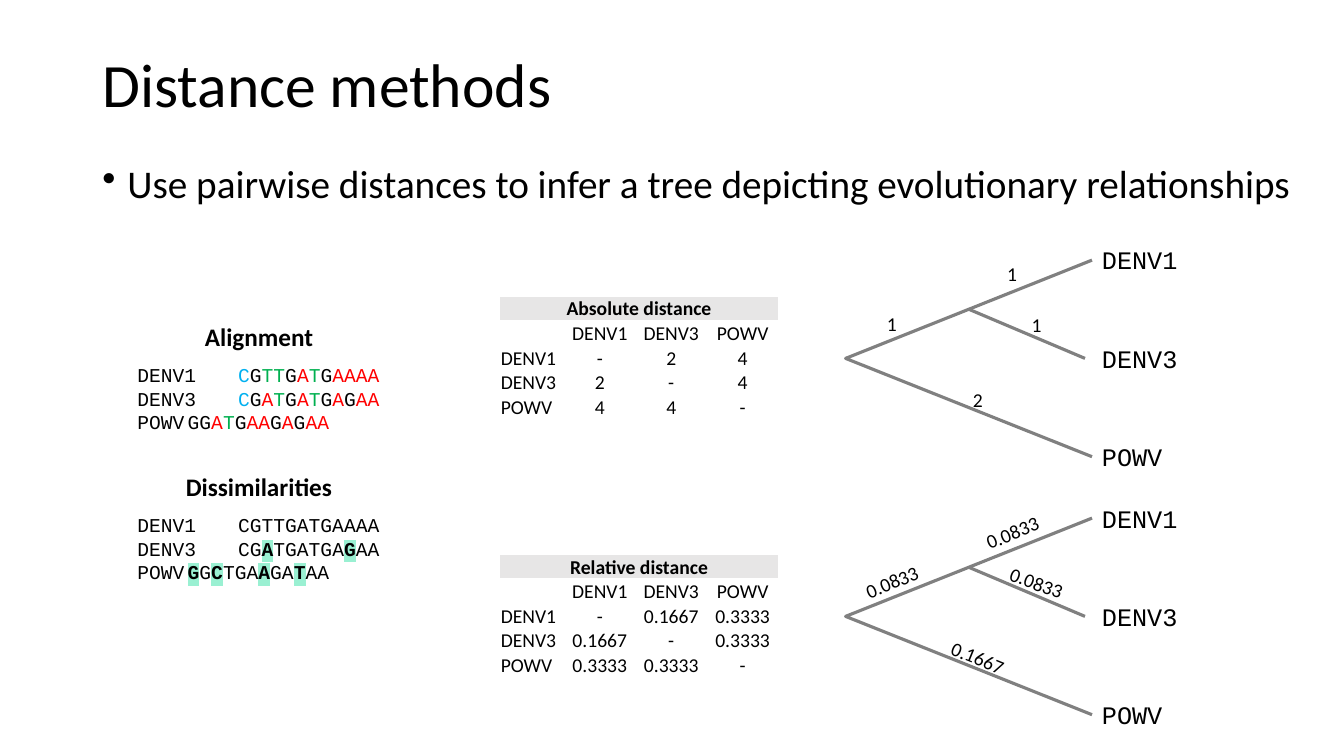
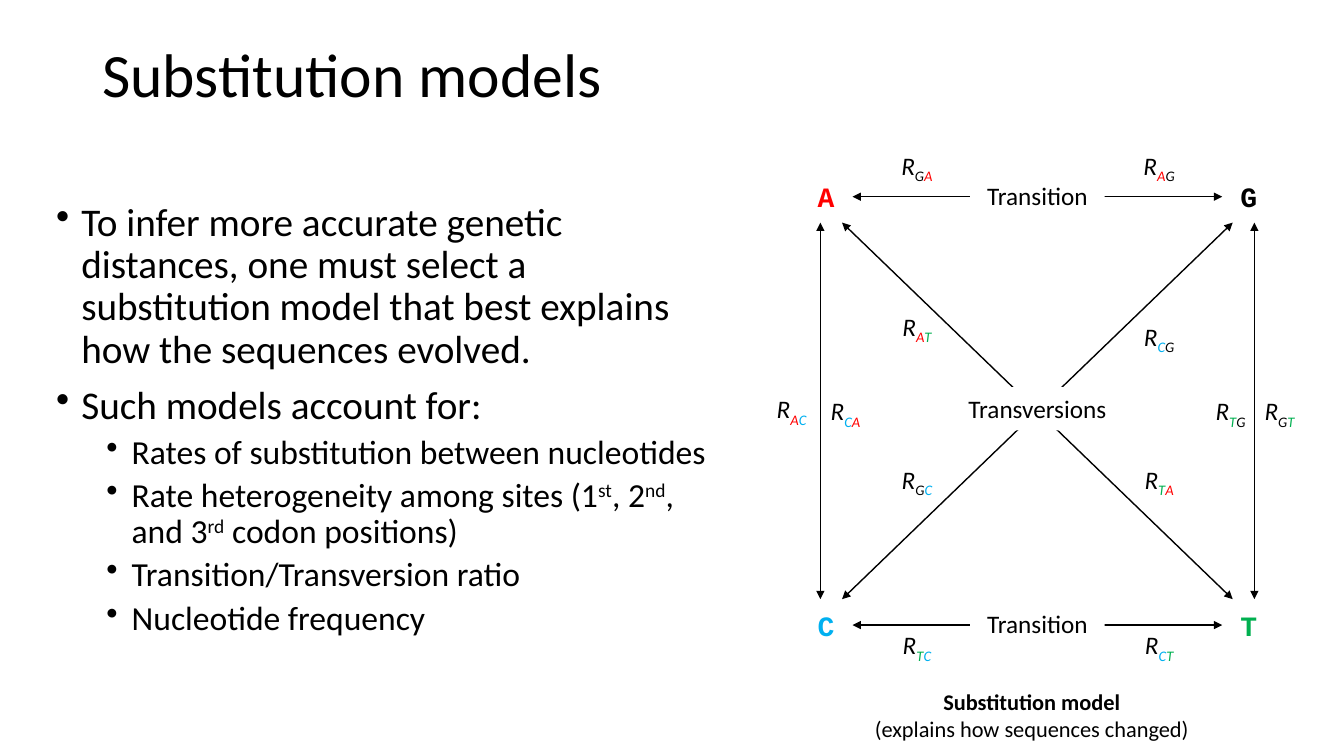
"""Build two slides on distance methods and substitution models."""
from itertools import groupby

from lxml.etree import SubElement
from pptx import Presentation
from pptx.dml.color import RGBColor
from pptx.enum.shapes import MSO_CONNECTOR
from pptx.enum.text import MSO_ANCHOR, PP_ALIGN
from pptx.oxml.ns import qn
from pptx.util import Pt

BLACK, WHITE, BRANCH, HEADER, CHANGED = "000000", "FFFFFF", "808080", "E7E6E6", "9AF0D2"
BASE_COLORS = {"A": "FF0000", "C": "00B0F0", "G": BLACK, "T": "00B050"}
SANS, MONO = "Calibri", "Courier New"
TAXA = ["DENV1", "DENV3", "POWV"]
CENTER, MIDDLE = PP_ALIGN.CENTER, MSO_ANCHOR.MIDDLE
LABEL = {"size": 18, "name": SANS}
SMALL = {"size": 14, "name": SANS}
SEQUENCE = {"size": 14, "name": MONO}


def rgb(value):
    """Turn a hex string into a colour."""
    return RGBColor.from_string(value)


def add_run(paragraph, words, color=BLACK, baseline=0, highlight=None, size=18, **look):
    """Add one run with its format."""
    run = paragraph.add_run()
    run.text = words
    run.font.size = Pt(size)
    run.font.color.rgb = rgb(color)
    properties = run._r.get_or_add_rPr()
    if baseline:
        properties.set("baseline", str(baseline * 1000))
    if highlight:
        SubElement(SubElement(properties, qn("a:highlight")), qn("a:srgbClr"), val=highlight)
    for attribute, value in look.items():
        setattr(run.font, attribute, value)


def fill_paragraph(paragraph, runs, align=None, **look):
    """Write a list of (words, format) runs into a paragraph."""
    paragraph.alignment = align
    for words, change in runs:
        add_run(paragraph, words, **{**look, **change})


def add_frame(slide, box, anchor=MSO_ANCHOR.TOP, wrap=True, inset=(7.2, 3.6), fill=None, rotation=0):
    """Add a text box and return its text frame."""
    area = slide.shapes.add_textbox(*map(Pt, box))
    area.rotation = rotation
    if fill:
        area.fill.solid()
        area.fill.fore_color.rgb = rgb(fill)
    frame = area.text_frame
    side, edge = map(Pt, inset)
    settings = {"word_wrap": wrap, "vertical_anchor": anchor, "margin_left": side,
                "margin_right": side, "margin_top": edge, "margin_bottom": edge}
    for attribute, value in settings.items():
        setattr(frame, attribute, value)
    return frame


def add_lines(slide, box, lines, look, align=None, **frame_options):
    """Add a text box with one paragraph for each list of runs."""
    frame = add_frame(slide, box, **frame_options)
    for index, runs in enumerate(lines):
        paragraph = frame.add_paragraph() if index else frame.paragraphs[0]
        fill_paragraph(paragraph, runs, align, **look)


def add_centered(slide, middle, size, runs, look, **frame_options):
    """Add one centred line of text around a point."""
    (x, y), (width, height) = middle, size
    add_lines(slide, (x - width / 2, y - height / 2, width, height), [runs], look,
              CENTER, anchor=MIDDLE, **frame_options)


def add_title(slide, words, top):
    """Add the slide title."""
    frame = add_frame(slide, (66, top, 828, 60))
    frame.paragraphs[0].line_spacing = 0.9
    fill_paragraph(frame.paragraphs[0], [(words, {})], size=44, name=SANS)


def add_bullets(slide, box, points):
    """Add a bulleted list of (level, runs) points."""
    frame = add_frame(slide, box)
    for index, (level, runs) in enumerate(points):
        paragraph = frame.add_paragraph() if index else frame.paragraphs[0]
        properties = paragraph._p.get_or_add_pPr()
        properties.set("marL", str(Pt(18 + 36 * level)))
        properties.set("indent", str(Pt(-18)))
        SubElement(properties, qn("a:buChar"), char="•")
        paragraph.level = level
        paragraph.line_spacing = 0.9
        if index:
            paragraph.space_before = Pt(5 if level else 10)
        fill_paragraph(paragraph, runs, size=24 if level else 28, name=SANS)


def add_line(slide, start, end, color, width, arrows=False):
    """Add a straight line, with arrowheads at both ends if asked."""
    link = slide.shapes.add_connector(MSO_CONNECTOR.STRAIGHT, *map(Pt, start + end))
    link.line.color.rgb = rgb(color)
    link.line.width = Pt(width)
    if arrows:
        for end_tag in ("a:headEnd", "a:tailEnd"):
            SubElement(link.line._get_or_add_ln(), qn(end_tag), type="triangle")
    SubElement(link._element.spPr, qn("a:effectLst"))


def add_distances(slide, top, heading, values):
    """Add a table of pairwise distances."""
    rows = [[heading, "", "", ""], ["", *TAXA]]
    rows += [[taxon, *distances] for taxon, distances in zip(TAXA, values)]
    widths = [46, 51, 51, 51]
    matrix = slide.shapes.add_table(5, 4, Pt(357), Pt(top), Pt(sum(widths)), Pt(88)).table
    matrix.first_row = matrix.horz_banding = False
    for column, width in zip(matrix.columns, widths):
        column.width = Pt(width)
    margins = {"margin_left": Pt(0.72), "margin_right": Pt(0.72), "margin_top": Pt(0.72),
               "margin_bottom": 0, "vertical_anchor": MSO_ANCHOR.BOTTOM}
    for r, row in enumerate(rows):
        for c, words in enumerate(row):
            cell = matrix.cell(r, c)
            for attribute, value in margins.items():
                setattr(cell, attribute, value)
            if r == 0:
                cell.fill.solid()
                cell.fill.fore_color.rgb = rgb(HEADER)
            else:
                cell.fill.background()
            align = PP_ALIGN.LEFT if r and c == 0 else CENTER
            paragraph = cell.text_frame.paragraphs[0]
            paragraph.font.size = Pt(14)
            if words:
                fill_paragraph(paragraph, [(words, {})], align, bold=r == 0, **SMALL)
    matrix.cell(0, 0).merge(matrix.cell(0, 3))


def add_tree(slide, top, lengths, angles):
    """Add a tree of the three taxa with its branch lengths."""
    root, fork, tip, step = 604, 692, 780, 70.2
    outline = slide.shapes.build_freeform(Pt(tip), Pt(top))
    outline.add_line_segments([(Pt(root), Pt(top + step)), (Pt(tip), Pt(top + 2 * step))], close=False)
    branches = outline.convert_to_shape()
    branches.shadow.inherit = False
    branches.fill.background()
    branches.line.color.rgb = rgb(BRANCH)
    branches.line.width = Pt(2.25)
    add_line(slide, (fork, top + step / 2), (775, top + step), BRANCH, 2.25)
    for index, taxon in enumerate(TAXA):
        add_lines(slide, (tip, top + index * step - 14.5, 69, 29), [[(taxon, {})]],
                  {"size": 18, "name": MONO}, wrap=False)
    middles = [(637, 45.5), (723, 10), (740.5, 46), (698.5, 99.5)]
    for (x, y), length, angle in zip(middles, lengths, angles):
        add_centered(slide, (x, top + y), (83, 17), [(length, {})], SMALL,
                     inset=(0, 0), rotation=angle)


def colored_bases(bases):
    """Give runs coloured by nucleotide."""
    return [("".join(group), {"color": BASE_COLORS[base]}) for base, group in groupby(bases)]


def marked_changes(bases, reference):
    """Give runs that highlight the bases differing from a reference."""
    groups = groupby(zip(bases, reference), lambda pair: pair[0] != pair[1])
    return [("".join(base for base, _ in group), {"bold": True, "highlight": CHANGED} if differs else {})
            for differs, group in groups]


def add_sequences(slide, heading, top, sequences):
    """Add a heading over one row of runs for each taxon."""
    add_centered(slide, (185, top - 15.5), (159, 29), [(heading, {})], {**LABEL, "bold": True})
    rows = [[(taxon + "\t", {})] + runs for taxon, runs in zip(TAXA, sequences)]
    add_lines(slide, (91, top, 199, 58), rows, SEQUENCE)


def build_distances(slide):
    """Fill the slide on distance methods."""
    add_title(slide, "Distance methods", 35)
    add_bullets(slide, (66, 114, 878, 35), [
        (0, [("Use pairwise distances to infer a tree depicting evolutionary relationships", {})])])
    reference = "CGTTGATGAAAA"
    aligned = [reference, "CGATGATGAGAA", "GGATGAAGAGAA"]
    compared = [reference, "CGATGATGAGAA", "GGCTGAAGATAA"]
    add_sequences(slide, "Alignment", 256, [colored_bases(bases) for bases in aligned])
    add_sequences(slide, "Dissimilarities", 363, [marked_changes(bases, reference) for bases in compared])
    panels = [
        ("Absolute distance", ["-24", "2-4", "44-"], ["1", "1", "1", "2"], [0] * 4),
        ("Relative distance",
         [["-", "0.1667", "0.3333"], ["0.1667", "-", "0.3333"], ["0.3333", "0.3333", "-"]],
         ["0.0833", "0.0833", "0.0833", "0.1667"], [337, 337.6, 20.3, 22.2]),
    ]
    for index, (heading, values, lengths, angles) in enumerate(panels):
        drop = 184.3 * index
        add_distances(slide, 211.7 + drop, heading, values)
        add_tree(slide, 185.8 + drop, lengths, angles)


def add_model(slide):
    """Draw the rates of substitution among the four nucleotides."""
    x, y = 741, 293.5
    reach, rise = 139.5, 134.5
    for level in (y - 153, y + 153):
        add_line(slide, (x - 132, level), (x + 132, level), BLACK, 1, arrows=True)
        add_centered(slide, (x, level - 1), (96, 31), [("Transition", {})], LABEL, fill=WHITE)
    for side in (x - 155, x + 155):
        add_line(slide, (side, y - rise), (side, y + rise), BLACK, 1, arrows=True)
    for slope in (-rise, rise):
        add_line(slide, (x - reach, y - slope), (x + reach, y + slope), BLACK, 1, arrows=True)
    add_centered(slide, (x, y - 1.5), (114, 31), [("Transversions", {})], LABEL, fill=WHITE)
    corners = {"A": (-1, -1), "G": (1, -1), "C": (-1, 1), "T": (1, 1)}
    for base, (across, down) in corners.items():
        add_centered(slide, (x + 151 * across, y + 153 * down), (30, 38), [(base, {})],
                     {"size": 20, "name": MONO, "bold": True, "color": BASE_COLORS[base]}, inset=(0, 0))
    rates = {"GA": (-86, -174), "AG": (87, -174), "AT": (-86, -59), "CG": (87, -52),
             "GC": (-86, 50.5), "TA": (87, 50.5), "TC": (-86, 168.5), "CT": (87, 168.5),
             "AC": (-175.5, 0), "CA": (-137, 1.5), "TG": (138, 1.5), "GT": (173, 1.5)}
    for change, (across, down) in rates.items():
        runs = [("R", {})] + [(base, {"color": BASE_COLORS[base], "baseline": -25}) for base in change]
        add_centered(slide, (x + across, y + down), (41, 31), runs, {**LABEL, "italic": True})


def build_models(slide):
    """Fill the slide on substitution models."""
    add_title(slide, "Substitution models", 28)
    raised = {"baseline": 30}
    add_bullets(slide, (33, 141, 482, 358), [
        (0, [("To infer more accurate genetic distances, one must select a substitution model "
              "that best explains how the sequences evolved.", {})]),
        (0, [("Such models account for:", {})]),
        (1, [("Rates of substitution between nucleotides", {})]),
        (1, [("Rate heterogeneity among sites (1", {}), ("st", raised), (", 2", {}), ("nd", raised),
             (", and 3", {}), ("rd", raised), (" codon positions)", {})]),
        (1, [("Transition/Transversion ratio", {})]),
        (1, [("Nucleotide frequency", {})]),
    ])
    add_model(slide)
    add_lines(slide, (615.5, 488, 243, 46),
              [[("Substitution model", {"bold": True})], [("(explains how sequences changed)", {})]],
              {"size": 16, "name": SANS}, CENTER, anchor=MIDDLE)


def main():
    """Build and save the presentation."""
    deck = Presentation()
    deck.slide_width, deck.slide_height = Pt(960), Pt(540)
    for build in (build_distances, build_models):
        build(deck.slides.add_slide(deck.slide_layouts[6]))
    deck.save("out.pptx")


if __name__ == "__main__":
    main()
